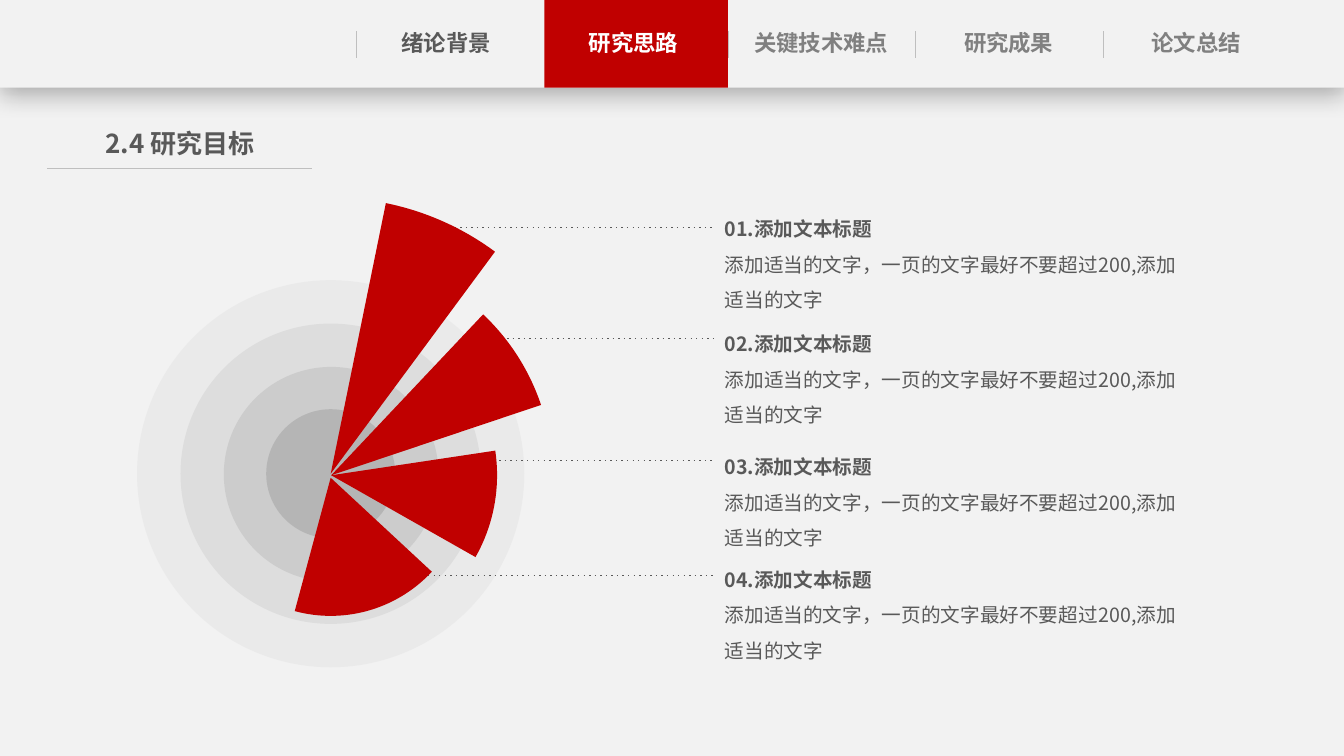
from dataclasses import dataclass

from lxml.etree import SubElement
from pptx import Presentation
from pptx.dml.color import RGBColor
from pptx.enum.shapes import MSO_CONNECTOR as Connector, MSO_SHAPE as Shape
from pptx.enum.text import MSO_ANCHOR as Anchor, MSO_AUTO_SIZE as AutoSize, PP_ALIGN as Align
from pptx.oxml.ns import qn
from pptx.util import Emu, Pt

PX = 9144  # 100 px to the inch


@dataclass(frozen=True)
class Theme:
    font: str = "Noto Sans CJK SC"
    paper: str = "F2F2F2"
    accent: str = "C00000"
    ink: str = "595959"
    muted: str = "808080"
    white: str = "FFFFFF"
    rule: str = "BFBFBF"
    nav_size: float = 16
    title_size: float = 18.6
    body_size: float = 14


@dataclass(frozen=True)
class NavItem:
    label: str
    color: str


@dataclass(frozen=True)
class Ring:
    diameter: int
    color: str


@dataclass(frozen=True)
class Goal:
    number: str
    diameter: int
    center_y: int
    start: float  # degrees clockwise from three o'clock
    end: float
    leader_x: int
    leader_y: int
    text_y: int


T = Theme()
CENTER_X, CENTER_Y = 328, 470
LEADER_END, TEXT_X = 710, 709
NAV_X, NAV_STEP = 369, 186
GOAL_TITLE = "添加文本标题"
GOAL_BODY = "添加适当的文字，一页的文字最好不要超过200,添加适当的文字"

NAV = [
    NavItem("绪论背景", T.ink),
    NavItem("研究思路", T.white),
    NavItem("关键技术难点", T.muted),
    NavItem("研究成果", T.muted),
    NavItem("论文总结", T.muted),
]
SEPARATORS = [353, 722, 908, 1094]
RINGS = [Ring(384, "D9D9D9"), Ring(298, "BFBFBF"), Ring(213, "A6A6A6"), Ring(128, "808080")]
GOALS = [
    Goal("01.", 548, 470, 281.52, 306.49, 451, 226, 199),
    Goal("02.", 439, 471, 313.35, 341.45, 492, 336, 313),
    Goal("03.", 329, 471, 351.45, 29.55, 451, 457, 435),
    Goal("04.", 274, 474, 42.89, 105.07, 419, 571, 547),
]


def px(*values: int) -> list[Emu]:
    return [Emu(v * PX) for v in values]


def add_block(slide, kind, x: int, y: int, w: int, h: int, color: str):
    sp = slide.shapes.add_shape(kind, *px(x, y, w, h))
    sp.shadow.inherit = False
    sp.fill.solid()
    sp.fill.fore_color.rgb = RGBColor.from_string(color)
    sp.line.fill.background()
    return sp


def add_disc(slide, kind, center_y: int, diameter: int, color: str):
    radius = diameter // 2
    return add_block(slide, kind, CENTER_X - radius, center_y - radius, diameter, diameter, color)


def add_line(slide, x1: int, y1: int, x2: int, y2: int, color: str, width: float,
             dotted: bool = False) -> None:
    line = slide.shapes.add_connector(Connector.STRAIGHT, *px(x1, y1, x2, y2))
    line.line.color.rgb = RGBColor.from_string(color)
    line.line.width = Pt(width)
    props = line._element.spPr
    if dotted:
        SubElement(props.find(qn("a:ln")), qn("a:prstDash"), val="dot")
    SubElement(props, qn("a:effectLst"))


def format_paragraph(p, size: float, color: str, bold: bool, align=Align.LEFT,
                     spacing: float = 1.0) -> None:
    p.alignment = align
    p.line_spacing = spacing
    for r in p.runs:
        r.font.size = Pt(size)
        r.font.bold = bold
        r.font.color.rgb = RGBColor.from_string(color)
        r.font.name = T.font
        SubElement(r.font._element, qn("a:ea"), typeface=T.font)


def set_frame(tf, side_margin: int = 0) -> None:
    tf.word_wrap = True
    tf.auto_size = AutoSize.SHAPE_TO_FIT_TEXT
    tf.vertical_anchor = Anchor.TOP
    tf.margin_left, tf.margin_right, tf.margin_top, tf.margin_bottom = px(
        side_margin, side_margin, 5, 5)


def add_header(slide) -> None:
    bar = add_block(slide, Shape.RECTANGLE, 0, 0, 1333, 87, T.paper)
    effects = bar._element.spPr.find(qn("a:effectLst"))
    shadow = SubElement(effects, qn("a:outerShdw"), blurRad=str(Pt(18)), dist=str(Pt(4)),
                        dir="5400000", algn="t", rotWithShape="0")
    black = SubElement(shadow, qn("a:srgbClr"), val="000000")
    SubElement(black, qn("a:alpha"), val="29000")

    add_block(slide, Shape.RECTANGLE, 540, 0, 182, 87, T.accent)
    for x in SEPARATORS:
        add_line(slide, x, 31, x, 58, T.rule, 0.5)
    for i, item in enumerate(NAV):
        tf = slide.shapes.add_textbox(*px(NAV_X + i * NAV_STEP, 24, 147, 38)).text_frame
        set_frame(tf)
        tf.text = item.label
        format_paragraph(tf.paragraphs[0], T.nav_size, item.color, True, Align.CENTER)


def add_title(slide) -> None:
    title = slide.shapes.title
    title.left, title.top, title.width, title.height = px(75, 121, 207, 42)
    tf = title.text_frame
    set_frame(tf)
    tf.text = "2.4 研究目标"
    format_paragraph(tf.paragraphs[0], T.title_size, T.ink, True, Align.CENTER)
    add_line(slide, 47, 167, 309, 167, T.rule, 0.5)


def add_rings(slide) -> None:
    for ring in RINGS:
        sp = add_disc(slide, Shape.OVAL, CENTER_Y, ring.diameter, ring.color)
        color = sp._element.spPr.find(qn("a:solidFill"))[0]
        SubElement(color, qn("a:alpha"), val="30000")


def add_goal(slide, goal: Goal) -> None:
    add_line(slide, goal.leader_x, goal.leader_y, LEADER_END, goal.leader_y, T.ink, 1, dotted=True)

    tf = slide.shapes.add_textbox(*px(TEXT_X, goal.text_y, 480, 116)).text_frame
    set_frame(tf, side_margin=10)
    tf.text = f"{goal.number}{GOAL_TITLE}\n{GOAL_BODY}"
    for p, bold in zip(tf.paragraphs, (True, False)):
        format_paragraph(p, T.body_size, T.ink, bold, spacing=1.5)

    # Angles are stored in 60000ths of a degree, adjustments in 100000ths
    wedge = add_disc(slide, Shape.PIE, goal.center_y, goal.diameter, T.accent)
    wedge.adjustments[0] = goal.start * 0.6
    wedge.adjustments[1] = goal.end * 0.6


def main() -> None:
    prs = Presentation()
    prs.slide_width, prs.slide_height = px(1333, 750)
    slide = prs.slides.add_slide(prs.slide_layouts[5])
    slide.background.fill.solid()
    slide.background.fill.fore_color.rgb = RGBColor.from_string(T.paper)

    add_header(slide)
    add_title(slide)
    add_rings(slide)
    for goal in GOALS:
        add_goal(slide, goal)
    prs.save("out.pptx")


if __name__ == "__main__":
    main()
